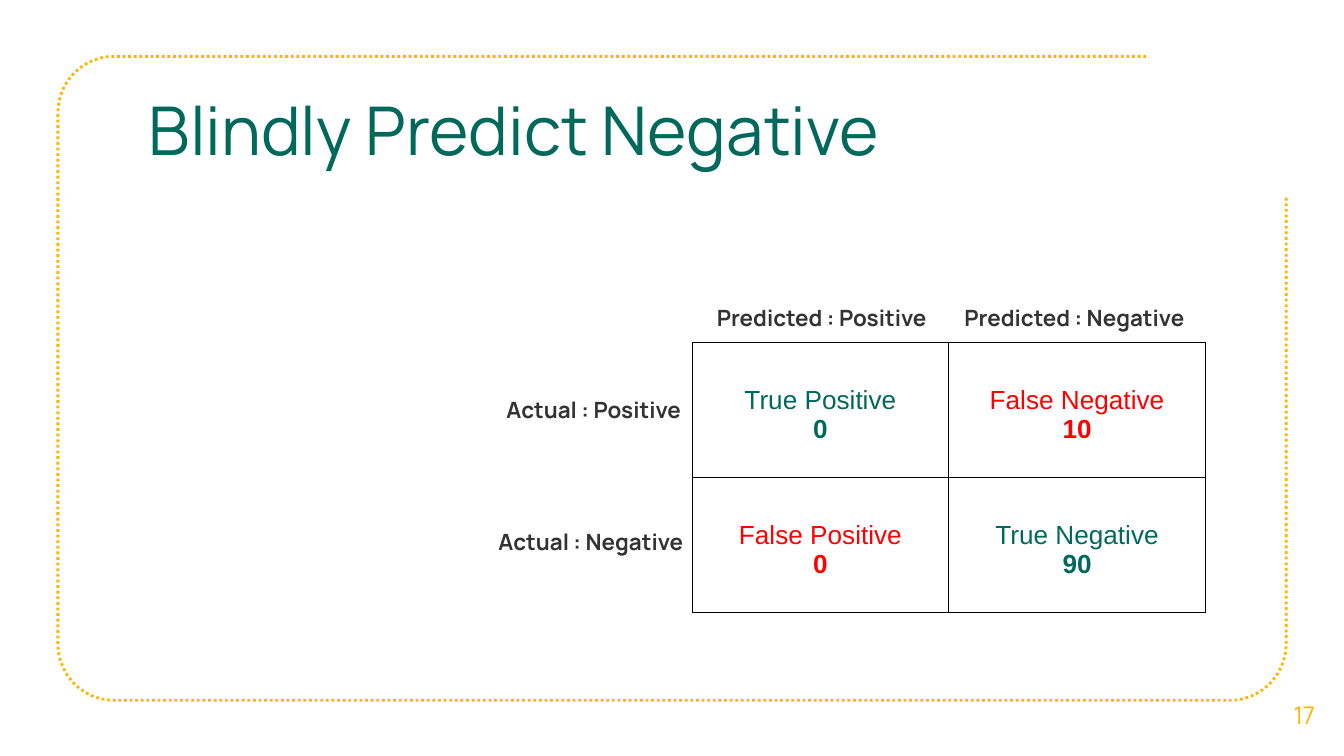
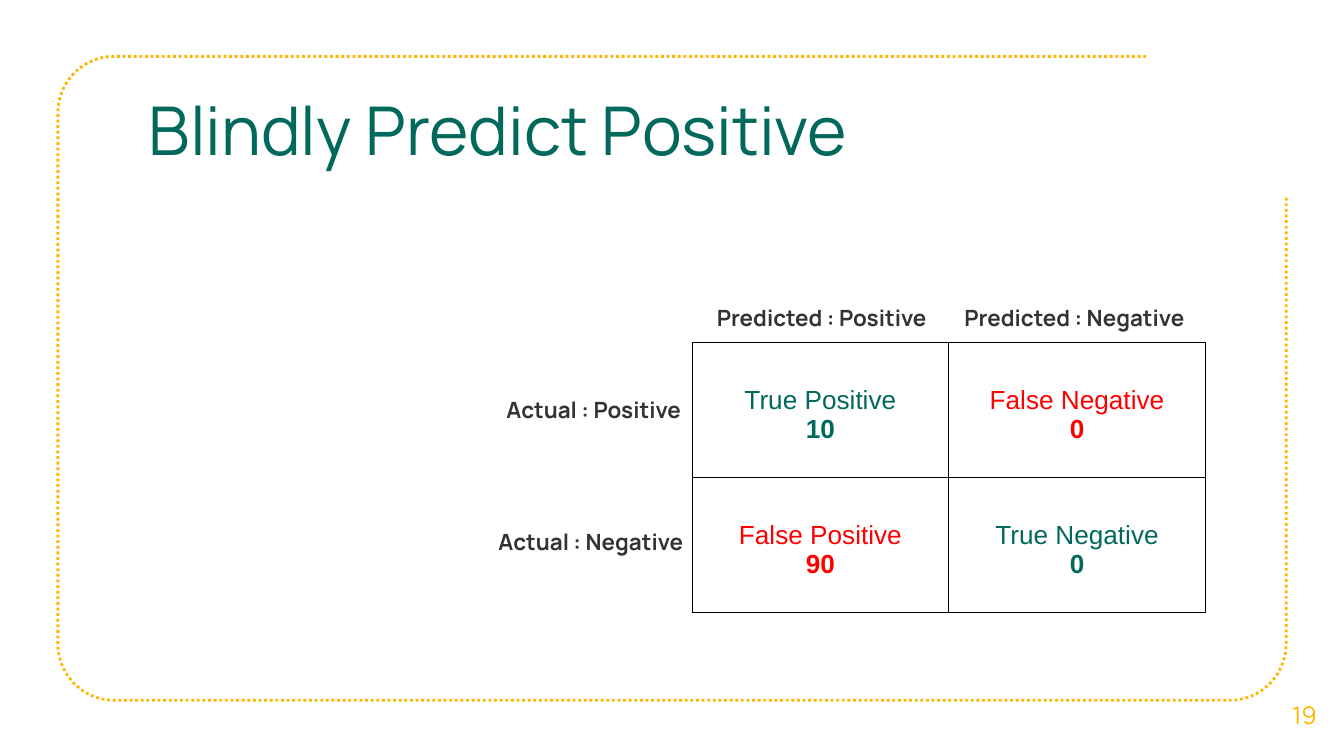
import math

import pptx
import pptx.dml.color
import pptx.enum.dml
import pptx.enum.text
import pptx.oxml
import pptx.oxml.ns
import pptx.util

Pt = pptx.util.Pt
ALIGN = pptx.enum.text.PP_ALIGN
ANCHOR = pptx.enum.text.MSO_ANCHOR

GREEN, AMBER, RED, DARK, BLACK = "00695C", "FFB600", "FF0000", "333333", "000000"
HEAD_FONT, CELL_FONT = "Manrope", "Arial"
INSET = 7.2

FRAME_BOX = (31, 30.2, 658, 345)
TITLE_BOX = (72.7, 40.3, 540.7, 67.7)
NUMBER_BOX = (677.5, 361.4, 42.5, 43.2)
MATRIX_BOX = (370.8, 183.6, 275, 144.6)

OUTCOMES = [["True Positive", "False Negative"], ["False Positive", "True Negative"]]
# Text, box relative to the matrix corner, alignment
MATRIX_LABELS = [
    ("Predicted : Positive", (-5.8, -28.1, 150.5, 30.2), ALIGN.CENTER),
    ("Predicted : Negative", (126, -28.1, 157.7, 30.2), ALIGN.CENTER),
    ("Actual : Positive", (-106.6, 21.6, 124.6, 30.2), ALIGN.LEFT),
    ("Actual : Negative", (-110.9, 92.2, 133.2, 30.2), ALIGN.LEFT),
]
SLIDES = [
    ("Blindly Predict Negative", "17", [["0", "10"], ["0", "90"]]),
    ("Blindly Predict Positive", "19", [["10", "0"], ["90", "0"]]),
]


def rgb(color):
    return pptx.dml.color.RGBColor.from_string(color)


def style(p, font, size, color, bold=False, align=ALIGN.LEFT):
    p.alignment = align
    p.font.name = font
    p.font.size = Pt(size)
    p.font.bold = bold
    p.font.color.rgb = rgb(color)


def add_text(slide, box, text, size, color, bold=False, align=ALIGN.LEFT, anchor=ANCHOR.TOP):
    tf = slide.shapes.add_textbox(*map(Pt, box)).text_frame
    tf.word_wrap = True
    tf.vertical_anchor = anchor
    tf.margin_left = tf.margin_right = tf.margin_top = tf.margin_bottom = Pt(INSET)
    p = tf.paragraphs[0]
    p.text = text
    style(p, HEAD_FONT, size, color, bold, align)


def add_frame(slide, box, radius=30.2, gap_x=75, gap_y=75, steps=15):
    """Draw the dotted round-cornered outline, open at its top right corner."""
    x, y, w, h = box
    right, bottom = x + w, y + h
    corners = [
        (x + radius, y + radius, 270),
        (x + radius, bottom - radius, 180),
        (right - radius, bottom - radius, 90),
    ]
    points = []
    for cx, cy, start in corners:
        for i in range(steps + 1):
            angle = math.radians(start - 90 * i / steps)
            points.append((cx + radius * math.cos(angle), cy + radius * math.sin(angle)))
    points.append((right, y + gap_y))

    builder = slide.shapes.build_freeform(Pt(right - gap_x), Pt(y))
    builder.add_line_segments([(Pt(px), Pt(py)) for px, py in points], close=False)
    sp = builder.convert_to_shape()
    sp.shadow.inherit = False
    sp.fill.background()
    sp.line.color.rgb = rgb(AMBER)
    sp.line.width = Pt(1.5)
    sp.line.dash_style = pptx.enum.dml.MSO_LINE.ROUND_DOT


def add_borders(cell, color=BLACK, width=0.75):
    tc_pr = cell._tc.get_or_add_tcPr()
    for side in ("lnL", "lnR", "lnT", "lnB"):
        tc_pr.append(pptx.oxml.parse_xml(
            f'<a:{side} {pptx.oxml.ns.nsdecls("a")} w="{Pt(width)}">'
            f'<a:solidFill><a:srgbClr val="{color}"/></a:solidFill></a:{side}>'))


def fill_cell(cell, outcome, count, color):
    add_borders(cell)
    cell.fill.background()
    cell.margin_left = cell.margin_right = cell.margin_bottom = Pt(INSET)
    cell.margin_top = Pt(23)
    tf = cell.text_frame
    tf.text = f"{outcome}\n{count}"
    for p, bold in zip(tf.paragraphs, (False, True)):
        style(p, CELL_FONT, 14, color, bold, ALIGN.CENTER)


def add_matrix(slide, box, counts):
    x, y, w, h = box
    table = slide.shapes.add_table(2, 2, *map(Pt, box)).table
    table.first_row = table.horz_banding = False
    for i, row in enumerate(counts):
        table.rows[i].height = Pt(h / 2)
        table.columns[i].width = Pt(w / 2)
        for j, count in enumerate(row):
            fill_cell(table.cell(i, j), OUTCOMES[i][j], count, GREEN if i == j else RED)
    for text, (dx, dy, lw, lh), align in MATRIX_LABELS:
        add_text(slide, (x + dx, y + dy, lw, lh), text, 12, DARK, True, align)


def add_matrix_slide(prs, title, number, counts):
    slide = prs.slides.add_slide(prs.slide_layouts[6])
    add_frame(slide, FRAME_BOX)
    add_text(slide, TITLE_BOX, title, 36, GREEN)
    add_text(slide, NUMBER_BOX, number, 13, AMBER, align=ALIGN.CENTER, anchor=ANCHOR.MIDDLE)
    add_matrix(slide, MATRIX_BOX, counts)


def main():
    prs = pptx.Presentation()
    prs.slide_width, prs.slide_height = Pt(720), Pt(405)
    for title, number, counts in SLIDES:
        add_matrix_slide(prs, title, number, counts)
    prs.save("out.pptx")


if __name__ == "__main__":
    main()
